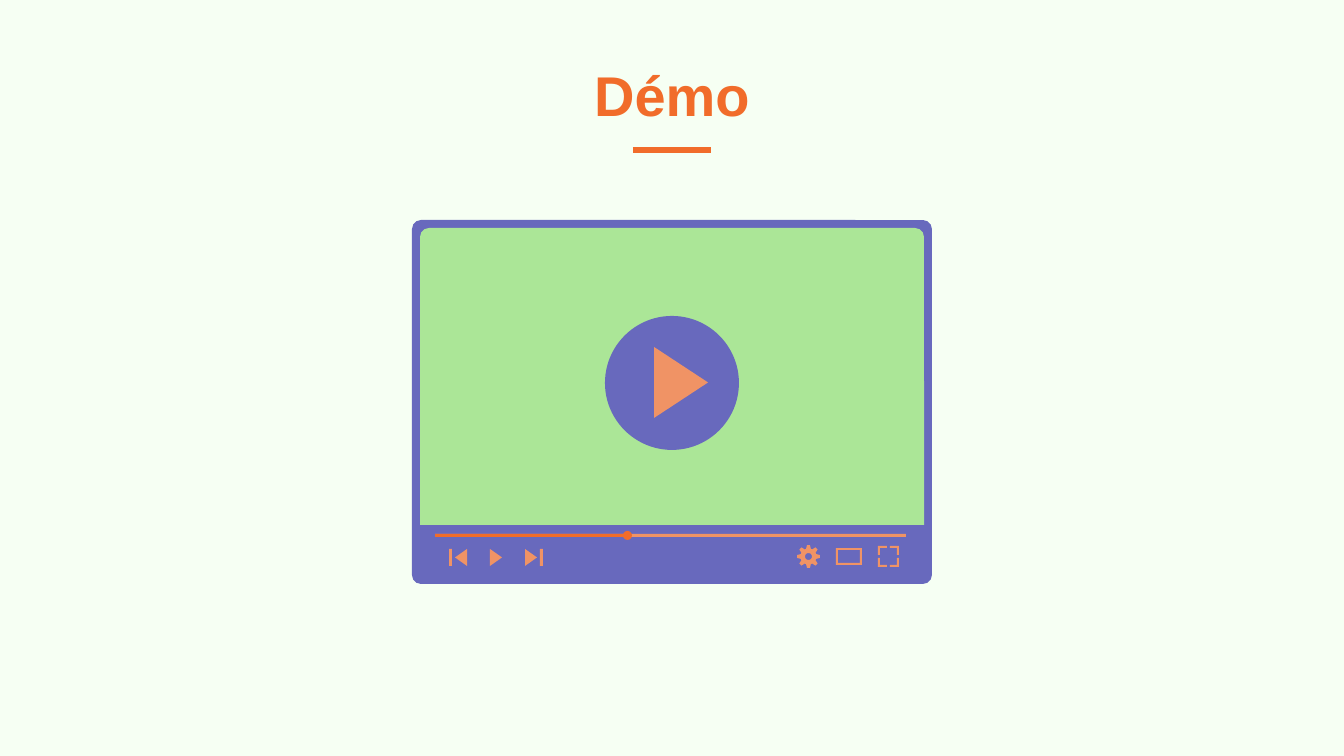
from dataclasses import dataclass
from itertools import product
from math import cos, pi, sin
from typing import NamedTuple

from lxml.etree import SubElement
from pptx import Presentation
from pptx.dml.color import RGBColor
from pptx.enum.shapes import MSO_CONNECTOR as Connector, MSO_SHAPE as Preset
from pptx.enum.text import MSO_ANCHOR as Anchor, PP_ALIGN as Align
from pptx.oxml.ns import qn
from pptx.util import Emu, Pt

EMU_PER_PX = 914400 / 134.4


@dataclass(frozen=True)
class Theme:
    """Colours and type sizes of the slide."""
    background: str = "F6FFF3"
    accent: str = "F16C2A"
    frame: str = "6869BD"
    screen: str = "ABE697"
    control: str = "F09365"
    font: str = "Arial"
    title_size: int = 30
    rule_width: int = 3


class Box(NamedTuple):
    """A rectangle in px."""
    left: int
    top: int
    width: int
    height: int

    def inner(self, left, top, width, height):
        """Return a box placed relative to this one."""
        return Box(self.left + left, self.top + top, width, height)


THEME = Theme()


def px(value):
    """Turn px into EMU."""
    return Emu(round(value * EMU_PER_PX))


def paint(shape, color):
    """Give a shape a flat fill without line or shadow."""
    shape.shadow.inherit = False
    shape.fill.solid()
    shape.fill.fore_color.rgb = RGBColor.from_string(color)
    shape.line.fill.background()


def add_preset(slide, preset, box, color, adjustments=()):
    """Add a flat preset shape."""
    shape = slide.shapes.add_shape(preset, *map(px, box))
    for index, value in enumerate(adjustments):
        shape.adjustments[index] = value
    paint(shape, color)


def add_outline(slide, box, color, *contours):
    """Add a flat freeform whose contours are relative to the box."""
    paths = [[(px(box.left + x), px(box.top + y)) for x, y in contour]
             for contour in contours]
    builder = slide.shapes.build_freeform(*paths[0][0], scale=1.0)
    for index, points in enumerate(paths):
        if index:
            builder.move_to(*points[0])
        builder.add_line_segments(points[1:], close=True)
    paint(builder.convert_to_shape(), color)


def add_triangle(slide, box, color, forward=True):
    """Add a triangle pointing right, or left when not forward."""
    base, tip = (0, box.width) if forward else (box.width, 0)
    add_outline(slide, box, color,
                [(base, 0), (base, box.height), (tip, box.height / 2)])


def add_heading(slide, box):
    """Add the title and the short rule centred below it."""
    text_frame = slide.shapes.add_textbox(*map(px, box)).text_frame
    text_frame.word_wrap = True
    text_frame.vertical_anchor = Anchor.BOTTOM
    text_frame.margin_left = text_frame.margin_right = px(13)
    text_frame.margin_top = text_frame.margin_bottom = px(13)
    paragraph = text_frame.paragraphs[0]
    paragraph.alignment = Align.CENTER
    run = paragraph.add_run()
    run.text = "Démo"
    run.font.name = THEME.font
    run.font.size = Pt(THEME.title_size)
    run.font.bold = True
    run.font.color.rgb = RGBColor.from_string(THEME.accent)

    center, y = box.left + box.width / 2, box.top + box.height + 9
    rule = slide.shapes.add_connector(
        Connector.STRAIGHT, px(center - 39), px(y), px(center + 39), px(y))
    rule.line.color.rgb = RGBColor.from_string(THEME.accent)
    rule.line.width = Pt(THEME.rule_width)
    SubElement(rule._element.spPr, qn("a:effectLst"))


def add_screen(slide, box):
    """Add the screen with its large play button in the middle."""
    add_preset(slide, Preset.ROUND_2_SAME_RECTANGLE, box, THEME.screen, (0.03, 0))
    button = box.inner(185, 88, 134, 134)
    add_preset(slide, Preset.OVAL, button, THEME.frame)
    add_triangle(slide, button.inner(49, 31, 54, 71), THEME.control)


def add_progress(slide, box, played):
    """Add the progress track, its played part and the handle."""
    add_preset(slide, Preset.RECTANGLE, box, THEME.control)
    add_preset(slide, Preset.RECTANGLE, box._replace(width=played), THEME.accent)
    add_preset(slide, Preset.OVAL, box.inner(played - 4, -3, 9, 9), THEME.accent)


def add_playback(slide, box):
    """Add the previous, play and next buttons."""
    for left in (0, box.width - 3):
        add_preset(slide, Preset.RECTANGLE,
                   box.inner(left, 0, 3, box.height), THEME.control)
    for left, forward in ((6, False), (41, True), (76, True)):
        add_triangle(slide, box.inner(left, 0, 12, box.height),
                     THEME.control, forward)


def add_gear(slide, box):
    """Add a gear with eight teeth and a round hole."""
    center = box.width / 2

    def ring(polar):
        return [(center + radius * cos(angle), center + radius * sin(angle))
                for radius, angle in polar]

    profile = ((8, -0.3), (center, -0.13), (center, 0.13), (8, 0.3))
    teeth = [(radius, tooth * pi / 4 + offset)
             for tooth in range(8) for radius, offset in profile]
    hole = [(3.5, -step * pi / 12) for step in range(24)]
    add_outline(slide, box, THEME.control, ring(teeth), ring(hole))


def add_wide_view(slide, box):
    """Add the wide view icon, a thin frame."""
    right, bottom = box.width, box.height
    add_outline(slide, box, THEME.control,
                [(0, 0), (right, 0), (right, bottom), (0, bottom)],
                [(2, 2), (2, bottom - 2), (right - 2, bottom - 2), (right - 2, 2)])


def add_full_screen(slide, box):
    """Add the full screen icon, four corner brackets."""
    bracket = [(0, 0), (9, 0), (9, 2), (2, 2), (2, 9), (0, 9)]
    for flip_x, flip_y in product((False, True), repeat=2):
        add_outline(slide, box, THEME.control,
                    [(box.width - x if flip_x else x,
                      box.height - y if flip_y else y) for x, y in bracket])


def add_player(slide, box):
    """Add the video player with its screen and controls."""
    add_preset(slide, Preset.ROUNDED_RECTANGLE, box, THEME.frame, (0.025,))
    add_screen(slide, box.inner(8, 8, box.width - 16, 297))
    add_progress(slide, box.inner(23, 314, 471, 3), 192)
    add_playback(slide, box.inner(37, 329, 94, 17))
    add_gear(slide, box.inner(385, 325, 23, 23))
    add_wide_view(slide, box.inner(424, 328, 26, 17))
    add_full_screen(slide, box.inner(466, 326, 21, 21))


def main():
    """Build and save the presentation."""
    presentation = Presentation()
    presentation.slide_width = px(1344)
    presentation.slide_height = px(756)
    slide = presentation.slides.add_slide(presentation.slide_layouts[6])
    slide.background.fill.solid()
    slide.background.fill.fore_color.rgb = RGBColor.from_string(THEME.background)
    add_heading(slide, Box(117, 30, 1110, 111))
    add_player(slide, Box(412, 220, 520, 364))
    presentation.save("out.pptx")


if __name__ == "__main__":
    main()
